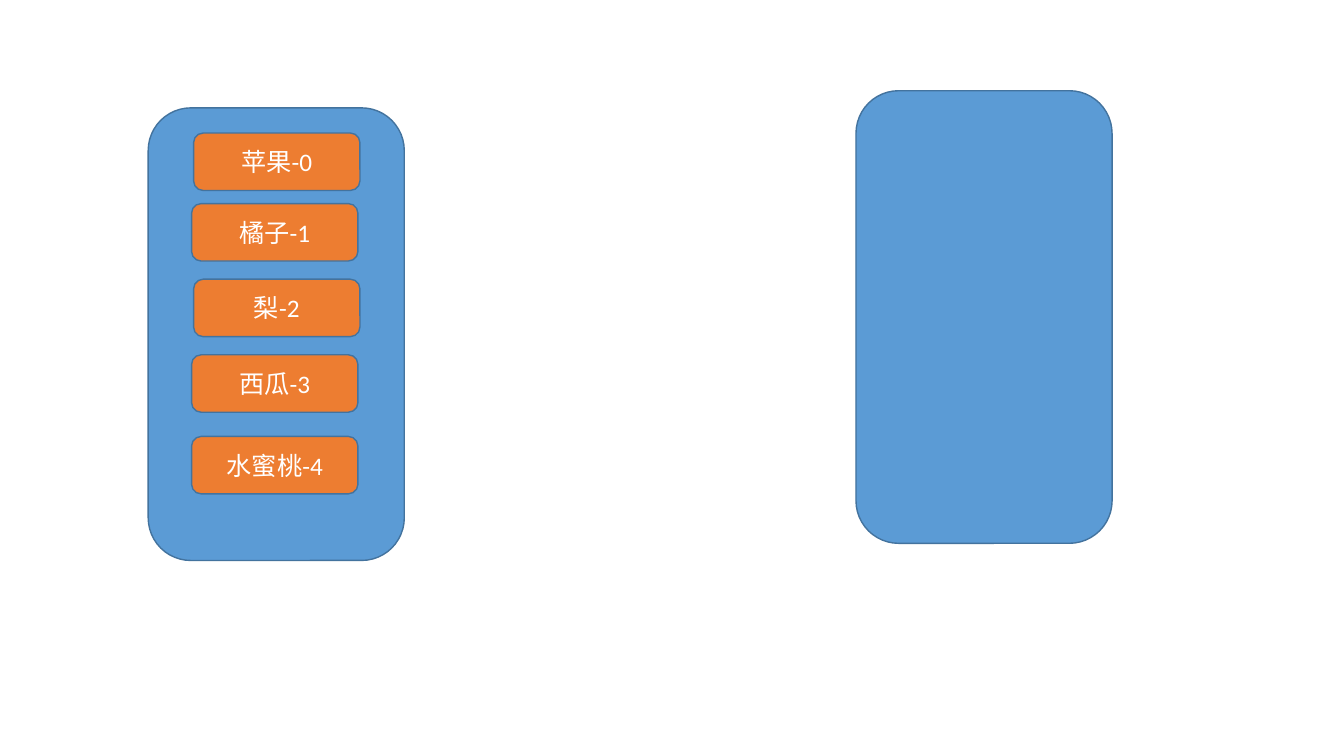
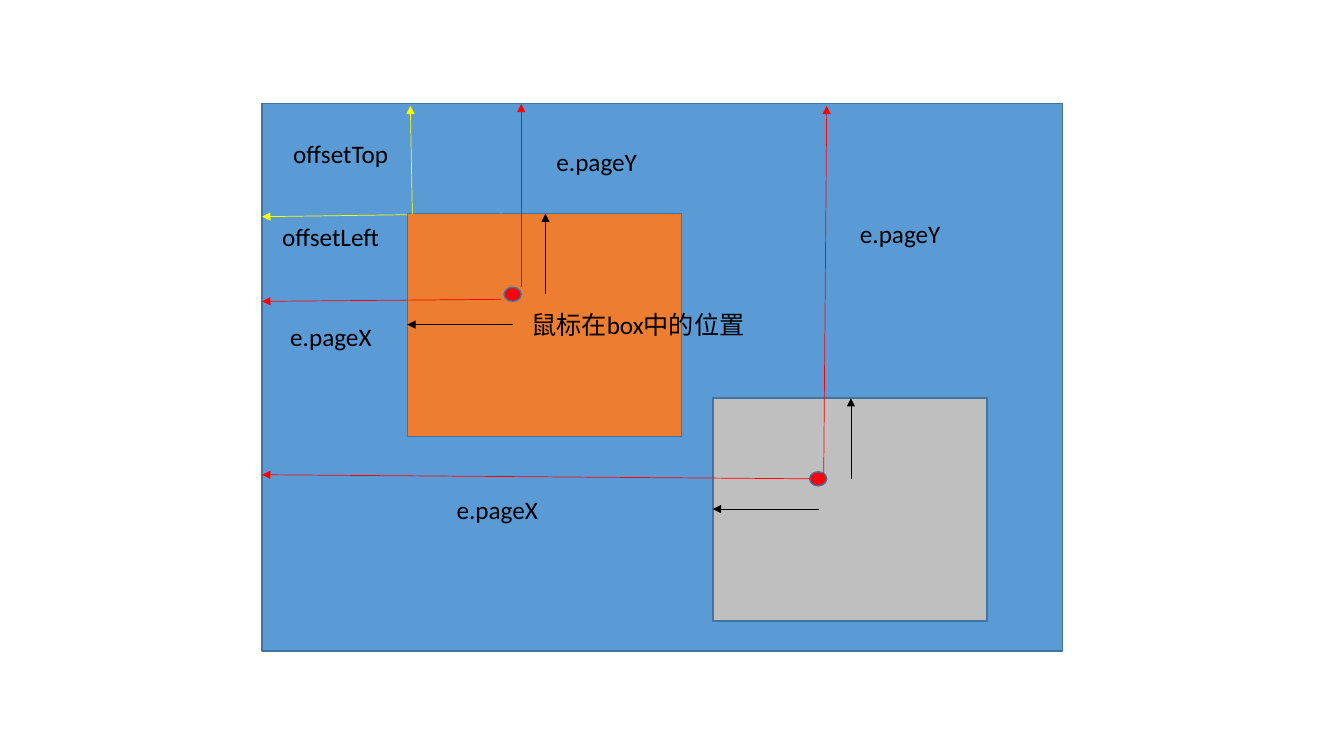
from pptx import Presentation
from pptx.dml.color import RGBColor
from pptx.enum.shapes import MSO_CONNECTOR, MSO_SHAPE
from pptx.enum.text import MSO_ANCHOR, MSO_AUTO_SIZE, PP_ALIGN
from pptx.oxml.ns import qn
from pptx.util import Inches, Pt
from lxml.etree import SubElement

BLUE = RGBColor(0x5B, 0x9B, 0xD5)
EDGE = RGBColor(0x43, 0x73, 0x9E)
ORANGE = RGBColor(0xED, 0x7D, 0x31)
GREY = RGBColor(0xBF, 0xBF, 0xBF)
RED = RGBColor(0xFF, 0x00, 0x00)
YELLOW = RGBColor(0xFF, 0xFF, 0x00)
BLACK = RGBColor(0x00, 0x00, 0x00)
WHITE = RGBColor(0xFF, 0xFF, 0xFF)


class Deck:
    font = "Calibri"
    size = Pt(18)

    def __init__(self):
        self.prs = Presentation()
        self.prs.slide_width = Inches(13.33)
        self.prs.slide_height = Inches(7.5)

    def new_slide(self):
        self.s = self.prs.slides.add_slide(self.prs.slide_layouts[6])

    def add_text(self, tf, text, color, align):
        p = tf.paragraphs[0]
        p.alignment = align
        r = p.add_run()
        r.text = text
        r.font.name = self.font
        r.font.size = self.size
        r.font.color.rgb = color

    def shape(self, kind, x, y, w, h, fill, text=None):
        sp = self.s.shapes.add_shape(kind, Inches(x), Inches(y), Inches(w), Inches(h))
        sp.shadow.inherit = False
        sp.fill.solid()
        sp.fill.fore_color.rgb = fill
        sp.line.color.rgb = EDGE
        sp.line.width = Pt(1)
        if text:
            sp.text_frame.vertical_anchor = MSO_ANCHOR.MIDDLE
            self.add_text(sp.text_frame, text, WHITE, PP_ALIGN.CENTER)

    def label(self, x, y, w, text):
        tf = self.s.shapes.add_textbox(Inches(x), Inches(y), Inches(w), Inches(0.4)).text_frame
        tf.word_wrap = True
        tf.auto_size = MSO_AUTO_SIZE.SHAPE_TO_FIT_TEXT
        self.add_text(tf, text, BLACK, PP_ALIGN.LEFT)

    def arrow(self, x1, y1, x2, y2, color):
        c = self.s.shapes.add_connector(
            MSO_CONNECTOR.STRAIGHT, Inches(x1), Inches(y1), Inches(x2), Inches(y2))
        c.line.color.rgb = color
        c.line.width = Pt(0.5)
        props = c._element.spPr
        SubElement(props.find(qn("a:ln")), qn("a:tailEnd"), type="triangle")
        SubElement(props, qn("a:effectLst"))

    def mouse_box(self, x, y, fill):
        self.shape(MSO_SHAPE.RECTANGLE, x, y, 2.72, 2.21, fill)
        self.shape(MSO_SHAPE.OVAL, x + 0.96, y + 0.73, 0.17, 0.14, RED)
        self.arrow(x + 1.05, y + 1.1, x, y + 1.1, BLACK)
        self.arrow(x + 1.37, y + 0.8, x + 1.37, y, BLACK)


deck = Deck()

deck.new_slide()
for x, y in [(1.47, 1.07), (8.49, 0.9)]:
    deck.shape(MSO_SHAPE.ROUNDED_RECTANGLE, x, y, 2.54, 4.49, BLUE)
fruits = [("苹果", 1.92, 1.32), ("橘子", 1.9, 2.02), ("梨", 1.92, 2.77),
          ("西瓜", 1.9, 3.52), ("水蜜桃", 1.9, 4.33)]
for i, (fruit, x, y) in enumerate(fruits):
    deck.shape(MSO_SHAPE.ROUNDED_RECTANGLE, x, y, 1.65, 0.57, ORANGE, f"{fruit}-{i}")

deck.new_slide()
deck.shape(MSO_SHAPE.RECTANGLE, 2.6, 1.03, 7.94, 5.43, BLUE)
deck.mouse_box(4.04, 2.12, ORANGE)
deck.mouse_box(7.07, 3.95, GREY)
for ends in [(4.97, 2.97, 2.6, 2.99), (5.17, 2.85, 5.17, 1.03),
             (8.03, 4.75, 2.6, 4.71), (8.17, 4.71, 8.2, 1.05)]:
    deck.arrow(*ends, RED)
for ends in [(4.04, 2.13, 2.6, 2.15), (4.09, 2.13, 4.07, 1.05)]:
    deck.arrow(*ends, YELLOW)
deck.arrow(4.97, 2.12, 4.97, 2.13, BLUE)
for x, y, w, text in [
    (5.17, 3.02, 2.34, "鼠标在box中的位置"),
    (2.7, 2.15, 1.24, "offsetLeft"),
    (2.81, 1.32, 1.39, "offsetTop"),
    (5.42, 1.4, 1.02, "e.pageY"),
    (2.78, 3.14, 1.08, "e.pageX"),
    (8.43, 2.12, 1.02, "e.pageY"),
    (4.43, 4.85, 1.08, "e.pageX"),
]:
    deck.label(x, y, w, text)

deck.prs.save("out.pptx")
